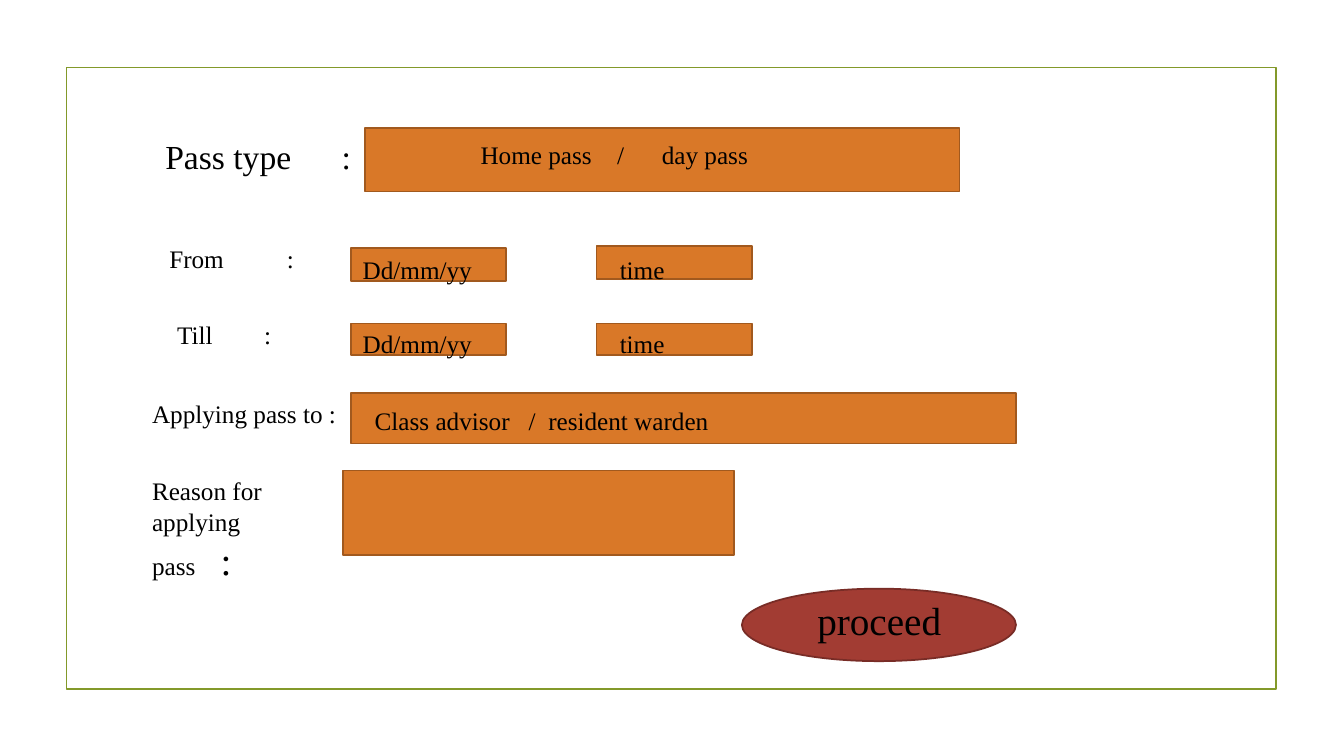
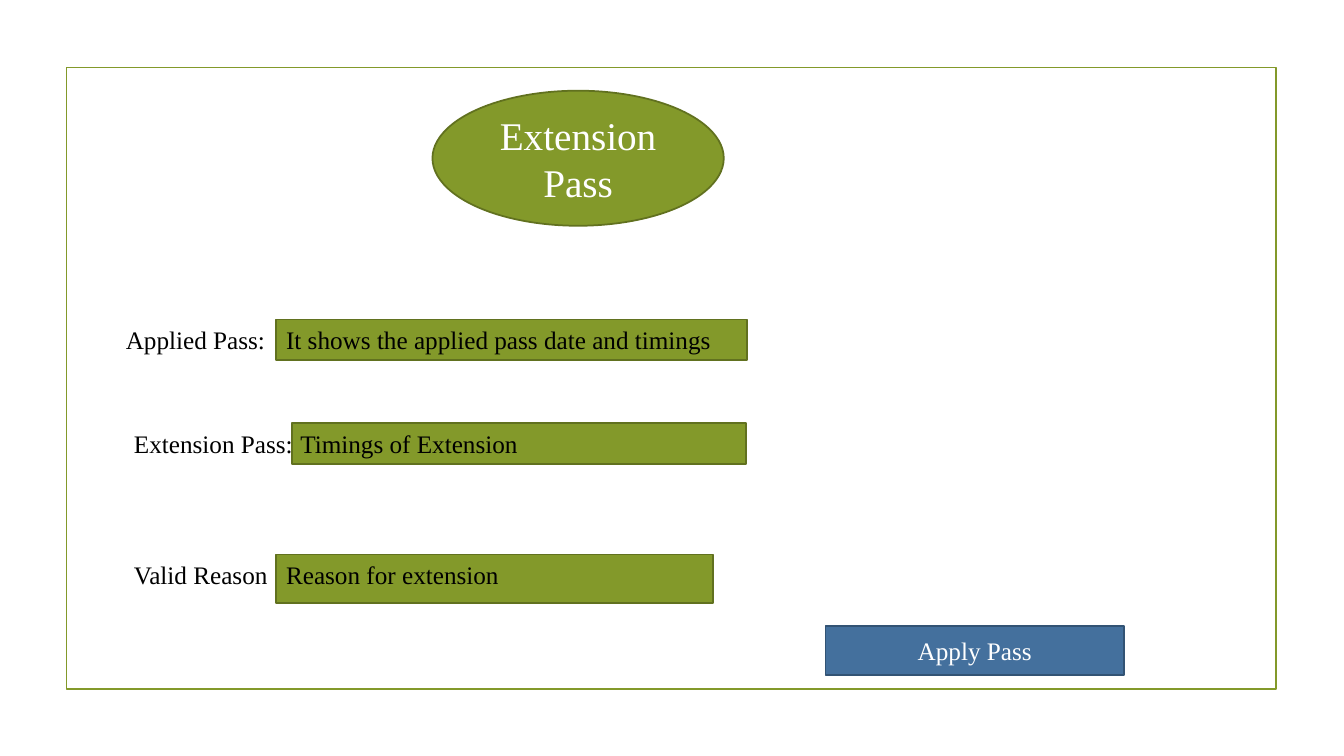
from dataclasses import dataclass

from lxml import etree
from pptx import Presentation
from pptx.dml.color import RGBColor
from pptx.enum import shapes, text
from pptx.oxml import ns
from pptx.util import Pt


@dataclass(frozen=True)
class Theme:
    font: str = "Times New Roman"
    black: str = "000000"
    white: str = "FFFFFF"
    orange: tuple = ("D97828", "A1591E")
    red: tuple = ("A23C33", "782C26")
    green: tuple = ("83992A", "61711F")
    blue: tuple = ("44709D", "325374")
    frame: tuple = (None, "83992A")
    border: float = 1.25
    body: int = 18
    label: int = 24
    title: int = 28


T = Theme()
RECT = shapes.MSO_SHAPE.RECTANGLE
OVAL = shapes.MSO_SHAPE.OVAL
FRAME = (47.5, 48.2, 864, 444.2)
LINE_H = 29

date_x, time_x, slot_w = 250.6, 426.2, 110.9
date_text_x, time_text_x = 252, 435.6

PASS_FORM = {
    "labels": [
        ("Pass type\t:", (111, 93.5, 150, 36), T.label, [126]),
        ("From\t:", (113.8, 169.9, 104, LINE_H), T.body, [84]),
        ("Till\t:", (119.5, 224.6, 90, LINE_H), T.body, [62]),
        ("Applying pass to :", (101.5, 280.8, 159, LINE_H), T.body, []),
        ("Reason for\vapplying\vpass\t", (101.5, 336.2, 132, 63.4), T.body, [49], ":"),
    ],
    "boxes": [
        (RECT, (260.6, 91.4, 424.8, 45.4), T.orange),
        (RECT, (date_x, 177.1, slot_w, 23.8), T.orange),
        (RECT, (time_x, 175.7, slot_w, 23.8), T.orange),
        (RECT, (date_x, 231.1, slot_w, 22.3), T.orange),
        (RECT, (time_x, 231.1, slot_w, 22.3), T.orange),
        (RECT, (date_x, 280.8, 475.2, 36), T.orange),
        (RECT, (244.8, 336.2, 279.4, 60.5), T.orange),
        (OVAL, (529.9, 420.5, 195.8, 51.8), T.red),
    ],
    "entries": [
        ("Home pass\t/\tday pass", (336.2, 95.8, 407.5, LINE_H), T.body, [97.5, 129.5]),
        ("Dd/mm/yy", (date_text_x, 177.8, 103.7, LINE_H), T.body, []),
        ("time", (time_text_x, 177.8, 94.3, LINE_H), T.body, []),
        ("Dd/mm/yy", (date_text_x, 231.1, 103.7, LINE_H), T.body, []),
        ("time", (time_text_x, 231.1, 94.3, LINE_H), T.body, []),
        ("Class advisor\t/\tresident warden", (260.6, 285.8, 453.6, LINE_H), T.body, [110, 124]),
        ("proceed", (576.7, 422.6, 108.7, 41), T.title, []),
    ],
}

EXTENSION_FORM = {
    "labels": [
        ("Applied Pass:", (82.8, 228.2, 194.4, LINE_H), T.body, []),
        ("Extension Pass:", (88.6, 302.4, 167, LINE_H), T.body, []),
        ("Valid Reason :", (88.6, 396, 141.1, LINE_H), T.body, []),
    ],
    "boxes": [
        (OVAL, (308.9, 64.8, 208.1, 96.5), T.green, "Extension Pass", T.title),
        (RECT, (197.3, 228.2, 336.2, LINE_H), T.green),
        (RECT, (208.8, 302.4, 324, LINE_H), T.green),
        (RECT, (197.3, 396, 311.8, 34.6), T.green),
        (RECT, (589.7, 447.1, 213.1, 35.3), T.blue, "Apply Pass", T.body),
    ],
    "entries": [
        ("It shows the applied pass date and timings", (197.3, 228.2, 348.5, LINE_H), T.body, []),
        ("Timings of Extension", (207.4, 302.4, 325.4, LINE_H), T.body, []),
        ("Reason for extension", (197.3, 396, 311.8, LINE_H), T.body, []),
    ],
}


def pts(box):
    return [Pt(v) for v in box]


def rgb(color):
    return RGBColor.from_string(color)


def set_font(font, size, color):
    font.name = T.font
    font.size = Pt(size)
    font.color.rgb = rgb(color)


def set_tabs(p, stops):
    tabs = etree.SubElement(p._p.get_or_add_pPr(), ns.qn("a:tabLst"))
    for stop in stops:
        etree.SubElement(tabs, ns.qn("a:tab"), pos=str(int(Pt(stop))), algn="l")


def add_box(slide, kind, box, colors, words="", size=T.body):
    sp = slide.shapes.add_shape(kind, *pts(box))
    sp.shadow.inherit = False
    fill, line = colors
    if fill:
        sp.fill.solid()
        sp.fill.fore_color.rgb = rgb(fill)
    else:
        sp.fill.background()
    sp.line.color.rgb = rgb(line)
    sp.line.width = Pt(T.border)
    if words:
        tf = sp.text_frame
        tf.word_wrap = True
        tf.vertical_anchor = text.MSO_ANCHOR.MIDDLE
        p = tf.paragraphs[0]
        p.text = words
        p.alignment = text.PP_ALIGN.CENTER
        set_font(p.font, size, T.white)


def add_text(slide, words, box, size, stops, large_end=""):
    tf = slide.shapes.add_textbox(*pts(box)).text_frame
    tf.word_wrap = True
    tf.auto_size = text.MSO_AUTO_SIZE.SHAPE_TO_FIT_TEXT
    p = tf.paragraphs[0]
    p.text = words
    if stops:
        set_tabs(p, stops)
    set_font(p.font, size, T.black)
    if large_end:
        r = p.add_run()
        r.text = large_end
        r.font.size = Pt(T.title)


def add_form(prs, form):
    slide = prs.slides.add_slide(prs.slide_layouts[6])
    add_box(slide, RECT, FRAME, T.frame)
    for label in form["labels"]:
        add_text(slide, *label)
    for box in form["boxes"]:
        add_box(slide, *box)
    for entry in form["entries"]:
        add_text(slide, *entry)


def main():
    prs = Presentation()
    prs.slide_width, prs.slide_height = Pt(960), Pt(540)
    for form in (PASS_FORM, EXTENSION_FORM):
        add_form(prs, form)
    prs.save("out.pptx")


if __name__ == "__main__":
    main()
